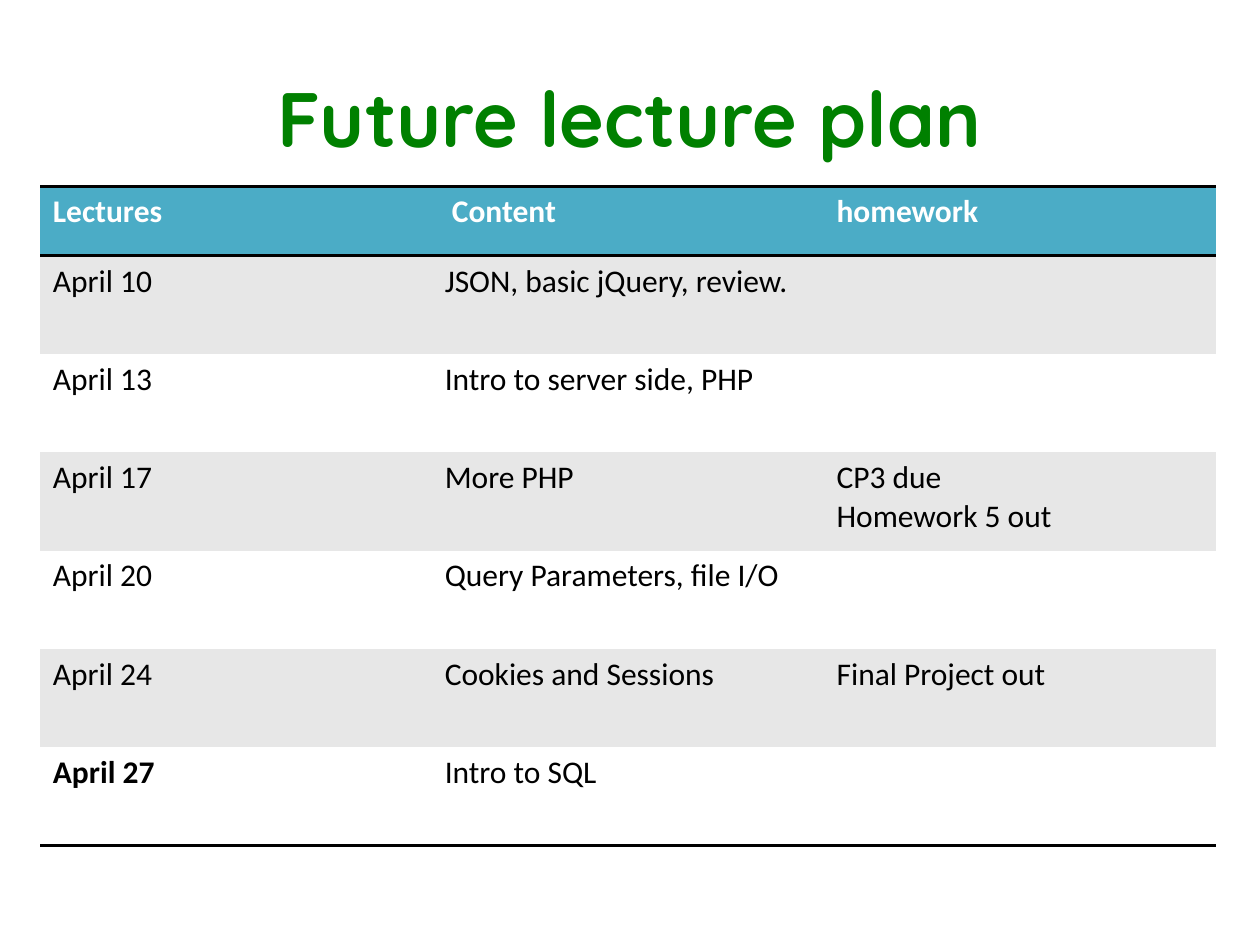
"""Build the lecture plan slide: a title above a schedule table."""
import pptx
import pptx.dml.color
import pptx.enum.text
import pptx.oxml.ns
import pptx.util
from lxml import etree
from pptx.util import Inches

ROWS = [
    ("Lectures", " Content", "homework"),
    ("April 10", "JSON, basic jQuery, review.", ""),
    ("April 13", "Intro to server side, PHP", ""),
    ("April 17", "More PHP", "CP3 due\nHomework 5 out"),
    ("April 20", "Query Parameters, file I/O", ""),
    ("April 24", "Cookies and Sessions", "Final Project out"),
    ("April 27", "Intro to SQL", ""),
]
HEADER_HEIGHT, ROW_HEIGHT = 0.55, 0.78


def rgb(color):
    return pptx.dml.color.RGBColor.from_string(color)


def set_font(p, name, size, color, bold):
    p.font.name = name
    p.font.size = pptx.util.Pt(size)
    p.font.color.rgb = rgb(color)
    p.font.bold = bold


def add_title(slide, text):
    sp = slide.shapes.add_textbox(Inches(0.5), Inches(0.3), Inches(9), Inches(1.25))
    tf = sp.text_frame
    tf.word_wrap = True
    tf.vertical_anchor = pptx.enum.text.MSO_ANCHOR.MIDDLE
    p = tf.paragraphs[0]
    p.text = text
    p.alignment = pptx.enum.text.PP_ALIGN.CENTER
    set_font(p, "Quicksand", 44, "008000", True)


def set_borders(cell, ruled_sides):
    tc_pr = cell._tc.get_or_add_tcPr()
    for side in "LRTB":
        ln = etree.SubElement(tc_pr, pptx.oxml.ns.qn(f"a:ln{side}"))
        if side in ruled_sides:
            ln.set("w", str(pptx.util.Pt(2)))
            fill = etree.SubElement(ln, pptx.oxml.ns.qn("a:solidFill"))
            etree.SubElement(fill, pptx.oxml.ns.qn("a:srgbClr"), val="000000")
        else:
            etree.SubElement(ln, pptx.oxml.ns.qn("a:noFill"))


def format_cell(cell, text, fill, color, bold, ruled_sides):
    cell.text = text
    for p in cell.text_frame.paragraphs:
        set_font(p, "Calibri", 18, color, bold)
    set_borders(cell, ruled_sides)
    cell.fill.solid()
    cell.fill.fore_color.rgb = rgb(fill)


def add_schedule(slide, rows):
    height = HEADER_HEIGHT + ROW_HEIGHT * (len(rows) - 1)
    frame = slide.shapes.add_table(len(rows), len(rows[0]), Inches(0.32),
                                   Inches(1.48), Inches(9.33), Inches(height))
    table = frame.table
    last = len(rows) - 1
    ruled = {0: "TB", 1: "T", last: "B"}
    for i, row in enumerate(rows):
        header = i == 0
        table.rows[i].height = Inches(HEADER_HEIGHT if header else ROW_HEIGHT)
        fill = "4BACC6" if header else "E7E7E7" if i % 2 else "FFFFFF"
        color = "FFFFFF" if header else "000000"
        for j, text in enumerate(row):
            bold = header or (i == last and j == 0)
            format_cell(table.cell(i, j), text, fill, color, bold, ruled.get(i, ""))


def main():
    prs = pptx.Presentation()
    prs.slide_width, prs.slide_height = Inches(10), Inches(7.5)
    slide = prs.slides.add_slide(prs.slide_layouts[6])
    add_title(slide, "Future lecture plan")
    add_schedule(slide, ROWS)
    prs.save("out.pptx")


if __name__ == "__main__":
    main()
